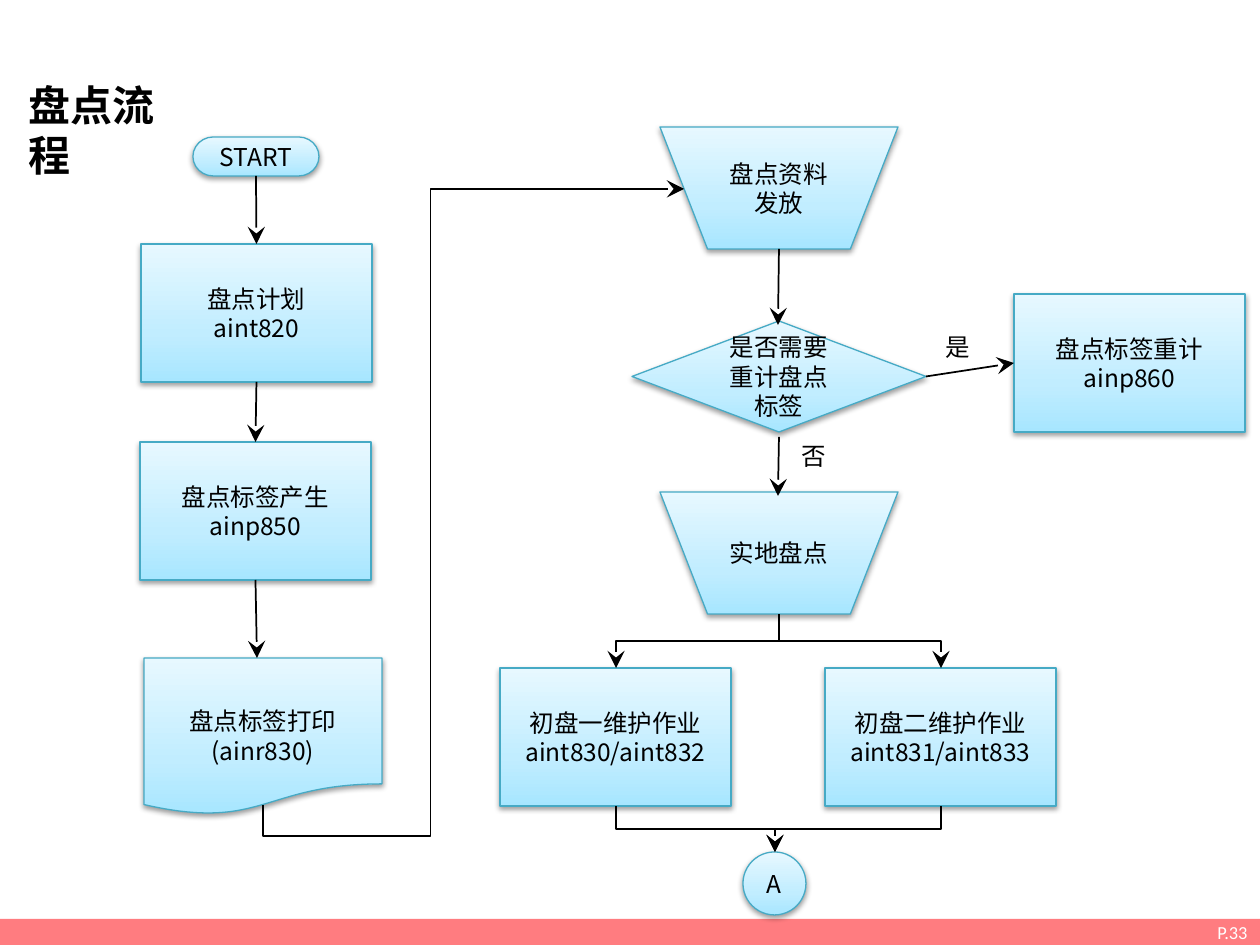
from copy import deepcopy

from lxml import etree
from pptx import Presentation
from pptx.dml.color import RGBColor
from pptx.enum.shapes import MSO_CONNECTOR, MSO_SHAPE
from pptx.enum.text import MSO_ANCHOR, MSO_AUTO_SIZE, PP_ALIGN
from pptx.oxml.ns import qn
from pptx.util import Pt

EMU_PER_PX = 914400 / 126
CJK_FONT = "Noto Sans CJK SC"
LEFT, CENTER, RIGHT = PP_ALIGN.LEFT, PP_ALIGN.CENTER, PP_ALIGN.RIGHT
TOP, MIDDLE = MSO_ANCHOR.TOP, MSO_ANCHOR.MIDDLE
FIT_TEXT = MSO_AUTO_SIZE.SHAPE_TO_FIT_TEXT
STRAIGHT, ELBOW = MSO_CONNECTOR.STRAIGHT, MSO_CONNECTOR.ELBOW
RECTANGLE = MSO_SHAPE.RECTANGLE
TERMINATOR = MSO_SHAPE.FLOWCHART_TERMINATOR
DOCUMENT = MSO_SHAPE.FLOWCHART_DOCUMENT
MANUAL = MSO_SHAPE.FLOWCHART_MANUAL_OPERATION
DECISION = MSO_SHAPE.FLOWCHART_DECISION
JUNCTION = MSO_SHAPE.FLOWCHART_CONNECTOR
SIDE_TOP, SIDE_LEFT, SIDE_BOTTOM, SIDE_RIGHT = range(4)

COLORS = {
    "text": "000000",
    "footer": "FF7C80",
    "footer_text": "FFFFFF",
    "outline": "46AAC5",
    "shadow": "000000",
    "bottom": "A7E6FF",
    "middle": "C1EDFF",
    "top": "E7F8FF",
}
GRADIENT = [(0, "bottom"), (0.35, "middle"), (1, "top")]


def px(*lengths):
    return [round(length * EMU_PER_PX) for length in lengths]


def write(shape, text, size=14, align=CENTER, anchor=MIDDLE,
          color="text", font_name=CJK_FONT, bold=False):
    frame = shape.text_frame
    frame.text = text
    frame.vertical_anchor = anchor
    for paragraph in frame.paragraphs:
        paragraph.alignment = align
        font = paragraph.font
        font.size = Pt(size)
        font.bold = bold
        font.color.rgb = RGBColor.from_string(COLORS[color])
        font.name = font_name
        properties = paragraph._p.pPr.find(qn("a:defRPr"))
        etree.SubElement(properties, qn("a:ea"), typeface=font_name)


presentation = Presentation()
presentation.slide_width, presentation.slide_height = px(1260, 945)
slide = presentation.slides.add_slide(presentation.slide_layouts[5])
shapes = slide.shapes

# Title and footer
title = shapes.title
title.left, title.top, title.width, title.height = px(16, 73, 193, 67)
write(title, "盘点流程", size=24, align=LEFT, anchor=TOP, bold=True)
title.text_frame.word_wrap = False
title.text_frame.auto_size = FIT_TEXT

footer = shapes.add_shape(RECTANGLE, *px(0, 919, 1260, 26))
footer.shadow.inherit = False
footer.fill.solid()
footer.fill.fore_color.rgb = RGBColor.from_string(COLORS["footer"])
footer.line.fill.background()
write(footer, "P.33", size=10.5, align=RIGHT, color="footer_text", font_name="Calibri")

# Flowchart steps
box_size = (231, 138)
manual_size = (238, 122)
steps = {
    "start": (TERMINATOR, 193, 137, 126, 39, "START"),
    "plan": (RECTANGLE, 141, 244, *box_size, "盘点计划\naint820"),
    "labels": (RECTANGLE, 140, 442, *box_size, "盘点标签产生\nainp850"),
    "print": (DOCUMENT, 144, 658, 238, 157, "盘点标签打印\n(ainr830)"),
    "release": (MANUAL, 660, 127, *manual_size, "盘点资料发放"),
    "decision": (DECISION, 632, 321, 294, 111, "是否需要重计盘点标签"),
    "recount": (RECTANGLE, 1014, 294, *box_size, "盘点标签重计\nainp860"),
    "count": (MANUAL, 660, 492, *manual_size, "实地盘点"),
    "next": (JUNCTION, 743, 852, 63, 63, "A"),
    "first": (RECTANGLE, 500, 668, *box_size, "初盘一维护作业aint830/aint832"),
    "second": (RECTANGLE, 825, 668, *box_size, "初盘二维护作业aint831/aint833"),
}
nodes = {}
for name, (kind, left, top, width, height, text) in steps.items():
    node = shapes.add_shape(kind, *px(left, top, width, height))
    nodes[name] = node
    node.fill.gradient()
    node.fill.gradient_angle = 90
    stop_list = node._element.spPr.find(".//" + qn("a:gsLst"))
    stop_list.append(deepcopy(stop_list[-1]))
    for stop, (position, color) in zip(node.fill.gradient_stops, GRADIENT):
        stop.position = position
        stop.color.rgb = RGBColor.from_string(COLORS[color])
    node.line.color.rgb = RGBColor.from_string(COLORS["outline"])
    node.line.width = Pt(0.75)
    node.shadow.inherit = False
    effects = node._element.spPr.find(qn("a:effectLst"))
    shadow = etree.SubElement(effects, qn("a:outerShdw"), blurRad="40000",
                              dist="20000", dir="5400000", rotWithShape="0")
    shadow_color = etree.SubElement(shadow, qn("a:srgbClr"), val=COLORS["shadow"])
    etree.SubElement(shadow_color, qn("a:alpha"), val="38000")
    write(node, text)
    node.text_frame.word_wrap = True
nodes["print"].text_frame.margin_top = px(36)[0]

# Branch labels
for text, left, top in [("否", 789, 435), ("是", 933, 326)]:
    label = shapes.add_textbox(*px(left, top, 49, 44))
    write(label, text, align=LEFT, anchor=TOP)
    label.text_frame.word_wrap = False
    label.text_frame.auto_size = FIT_TEXT

# Straight arrows: start point, end point, joined start, joined end
connectors = []
arrows = [
    (255, 176, 255, 244, ("start", SIDE_BOTTOM), ("plan", SIDE_TOP)),
    (255, 382, 257, 442, ("plan", SIDE_BOTTOM), ("labels", SIDE_TOP)),
    (255, 580, 257, 658, ("labels", SIDE_BOTTOM), None),
    (779, 249, 778, 325, ("release", SIDE_BOTTOM), None),
    (779, 437, 778, 496, None, None),
    (926, 377, 1014, 377, ("decision", SIDE_RIGHT), ("recount", SIDE_LEFT)),
]
for *points, source, target in arrows:
    connector = shapes.add_connector(STRAIGHT, *px(*points))
    if source:
        connector.begin_connect(nodes[source[0]], source[1])
    if target:
        connector.end_connect(nodes[target[0]], target[1])
    connectors.append(connector)

# Elbow arrows leave vertically, so each frame is turned by 90 degrees
elbows = [
    (263, 805, 684, 189, "bentConnector4", (-5100, 39800)),
    (779, 614, 616, 668, "bentConnector3", (50000,)),
    (779, 614, 941, 668, "bentConnector3", (50000,)),
    (616, 806, 775, 852, "bentConnector3", (50000,)),
    (941, 806, 775, 852, "bentConnector3", (50000,)),
]
for x1, y1, x2, y2, preset, adjustments in elbows:
    center_x, center_y = (x1 + x2) / 2, (y1 + y2) / 2
    half_width, half_height = abs(y2 - y1) / 2, abs(x2 - x1) / 2
    connector = shapes.add_connector(
        ELBOW, *px(center_x - half_width, center_y - half_height,
                   center_x + half_width, center_y + half_height))
    frame = connector._element.spPr.find(qn("a:xfrm"))
    frame.set("rot", "5400000")
    frame.set("flipH", str(int(y2 < y1)))
    frame.set("flipV", str(int(x2 > x1)))
    geometry = connector._element.spPr.find(qn("a:prstGeom"))
    geometry.set("prst", preset)
    guides = geometry.find(qn("a:avLst"))
    for number, value in enumerate(adjustments, 1):
        etree.SubElement(guides, qn("a:gd"), name=f"adj{number}", fmla=f"val {value}")
    connectors.append(connector)

for connector in connectors:
    connector.line.color.rgb = RGBColor.from_string(COLORS["text"])
    connector.line.width = Pt(1)
    properties = connector._element.spPr
    etree.SubElement(properties.find(qn("a:ln")), qn("a:tailEnd"), type="stealth", w="lg", len="lg")
    etree.SubElement(properties, qn("a:effectLst"))

presentation.save("out.pptx")
